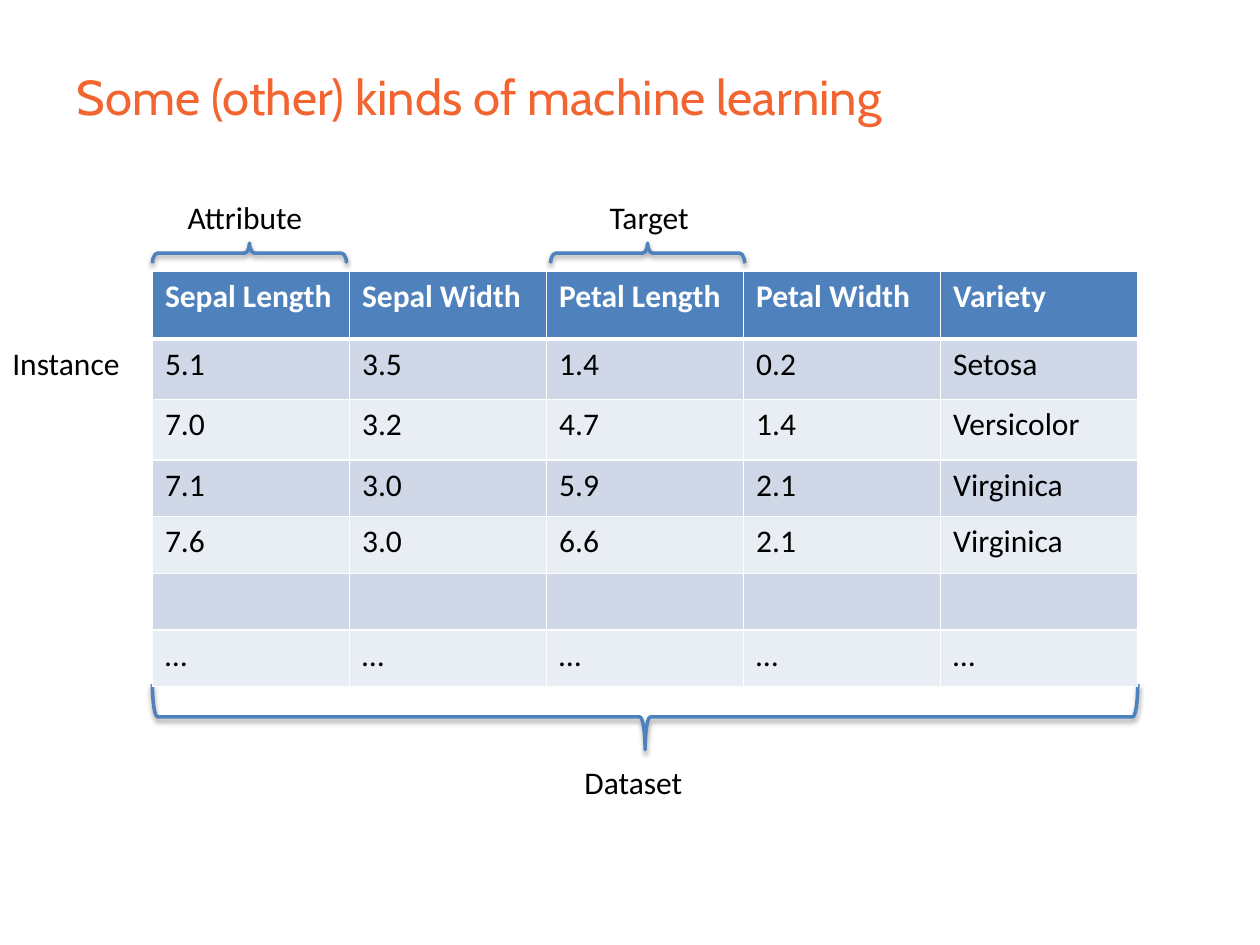
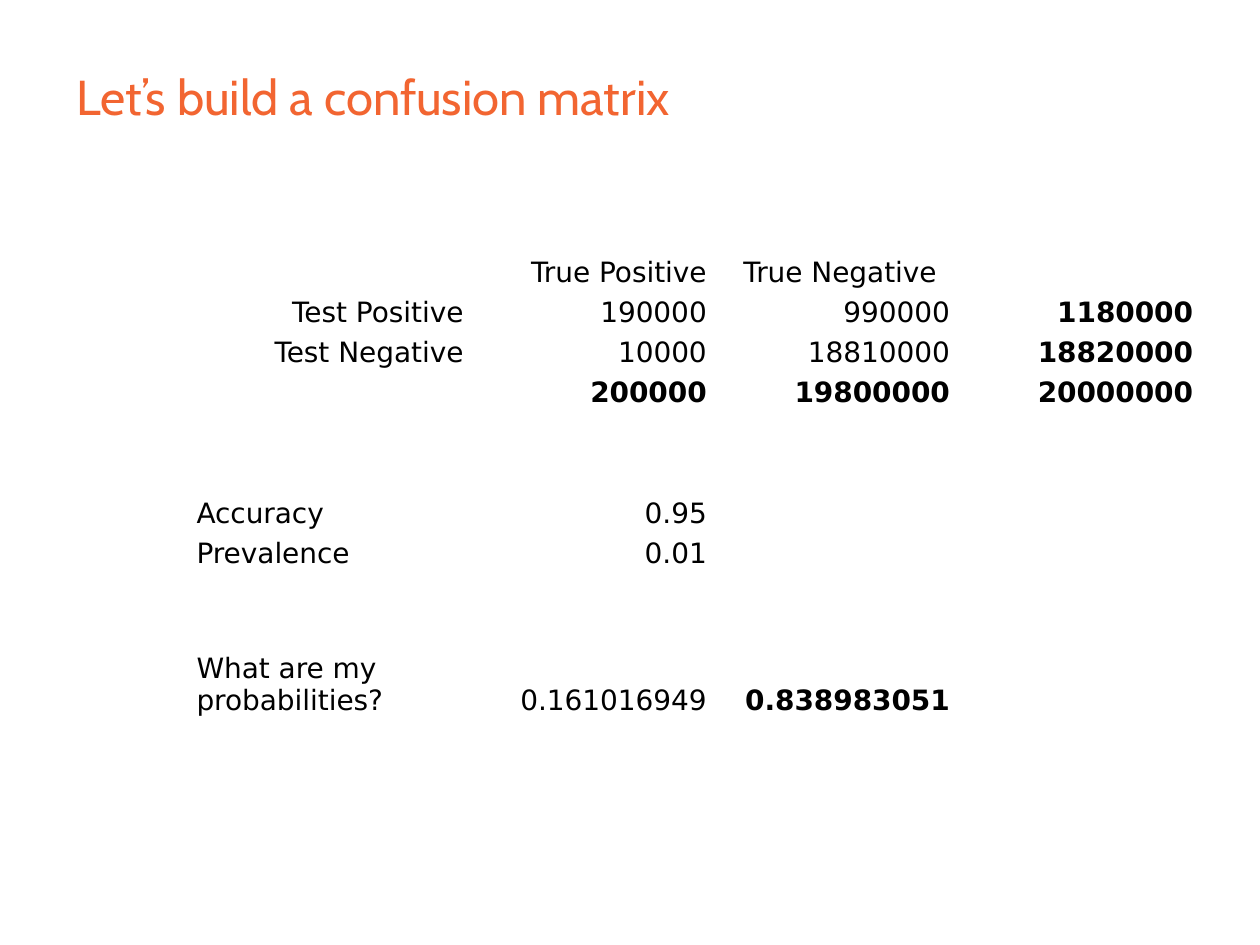
import dataclasses

import lxml.etree
import pptx
import pptx.dml.color
import pptx.enum.shapes
import pptx.enum.text
import pptx.oxml.ns
import pptx.util

Inches = pptx.util.Inches
Pt = pptx.util.Pt
Align = pptx.enum.text.PP_ALIGN
Anchor = pptx.enum.text.MSO_ANCHOR
qn = pptx.oxml.ns.qn


@dataclasses.dataclass(frozen=True)
class Theme:
    title_color: str = "F26531"
    accent: str = "4F81BD"
    dark_band: str = "D0D8E8"
    light_band: str = "E9EDF4"
    ink: str = "000000"
    paper: str = "FFFFFF"
    title_font: str = "Cabin"
    body_font: str = "Calibri"
    matrix_font: str = "DejaVu Sans"
    title_size: int = 28
    body_size: int = 18
    matrix_size: int = 16


THEME = Theme()

IRIS_ROWS = [
    ["Sepal Length", "Sepal Width", "Petal Length", "Petal Width", "Variety"],
    ["5.1", "3.5", "1.4", "0.2", "Setosa"],
    ["7.0", "3.2", "4.7", "1.4", "Versicolor"],
    ["7.1", "3.0", "5.9", "2.1", "Virginica"],
    ["7.6", "3.0", "6.6", "2.1", "Virginica"],
    [""] * 5,
    ["…"] * 5,
]
IRIS_HEIGHTS = [0.54, 0.48, 0.48, 0.45, 0.45, 0.45, 0.45]
IRIS_LEFT, IRIS_TOP, IRIS_WIDTH = 1.21, 2.15, 7.82

BLANK = [""] * 4
MATRIX_ROWS = [
    ["", "True Positive", "True Negative", ""],
    ["Test Positive", "190000", "990000", "1180000"],
    ["Test Negative", "10000", "18810000", "18820000"],
    ["", "200000", "19800000", "20000000"],
    BLANK,
    BLANK,
    ["Accuracy", "0.95", "", ""],
    ["Prevalence", "0.01", "", ""],
    BLANK,
    BLANK,
    ["What are my probabilities?", "0.161016949", "0.838983051", ""],
]
MATRIX_WIDTHS = [2.14, 1.93, 1.93, 1.93]
BOLD_CELLS = {(1, 3), (2, 3), (3, 1), (3, 2), (3, 3), (10, 2)}


def rgb(color):
    return pptx.dml.color.RGBColor.from_string(color)


def write_text(para, text, font=THEME.body_font, size=THEME.body_size,
               color=THEME.ink, bold=False, align=Align.LEFT):
    para.alignment = align
    if not text:
        lxml.etree.SubElement(para._p, qn("a:endParaRPr"), sz=str(size * 100))
        return
    span = para.add_run()
    span.text = text
    span.font.name = font
    span.font.size = Pt(size)
    span.font.bold = bold
    span.font.color.rgb = rgb(color)


def add_page(deck, title):
    page = deck.slides.add_slide(deck.slide_layouts[5])
    box = page.shapes.title
    box.left, box.top = Inches(0.51), Inches(0.14)
    box.width, box.height = Inches(8.98), Inches(1.25)
    box.text_frame.vertical_anchor = Anchor.MIDDLE
    write_text(box.text_frame.paragraphs[0], title, font=THEME.title_font,
               size=THEME.title_size, color=THEME.title_color)
    return page


def add_label(page, text, left, top, width):
    box = page.shapes.add_textbox(Inches(left), Inches(top), Inches(width), Inches(0.4))
    box.text_frame.word_wrap = False
    write_text(box.text_frame.paragraphs[0], text)


def add_shadow(shape):
    effects = lxml.etree.SubElement(shape._element.spPr, qn("a:effectLst"))
    shadow = lxml.etree.SubElement(
        effects, qn("a:outerShdw"), blurRad=str(Pt(3.1)), dist=str(Pt(1.6)),
        dir="5400000", rotWithShape="0")
    color = lxml.etree.SubElement(shadow, qn("a:srgbClr"), val=THEME.ink)
    lxml.etree.SubElement(color, qn("a:alpha"), val="38000")


def add_brace(page, left, top, span, depth, rotation, curve):
    brace = page.shapes.add_shape(
        pptx.enum.shapes.MSO_SHAPE.LEFT_BRACE,
        Inches(left + (span - depth) / 2), Inches(top + (depth - span) / 2),
        Inches(depth), Inches(span))
    brace.rotation = rotation
    brace.adjustments[0] = curve
    brace.fill.background()
    brace.line.color.rgb = rgb(THEME.accent)
    brace.line.width = Pt(2)
    add_shadow(brace)


def add_grid(page, left, top, widths, heights):
    frame = page.shapes.add_table(
        len(heights), len(widths), Inches(left), Inches(top),
        Inches(sum(widths)), Inches(sum(heights)))
    grid = frame.table
    for column, width in zip(grid.columns, widths):
        column.width = Inches(width)
    for row, height in zip(grid.rows, heights):
        row.height = Inches(height)
    return grid


def set_borders(cell, **widths):
    for side in "LRTB":
        line = lxml.etree.SubElement(
            cell._tc.get_or_add_tcPr(), qn(f"a:ln{side}"), w=str(Pt(widths.get(side, 1))))
        fill = lxml.etree.SubElement(line, qn("a:solidFill"))
        lxml.etree.SubElement(fill, qn("a:srgbClr"), val=THEME.paper)


def add_iris_table(page):
    column_count = len(IRIS_ROWS[0])
    grid = add_grid(page, IRIS_LEFT, IRIS_TOP,
                    [IRIS_WIDTH / column_count] * column_count, IRIS_HEIGHTS)
    for r, values in enumerate(IRIS_ROWS):
        header = r == 0
        band = THEME.dark_band if r % 2 else THEME.light_band
        for c, value in enumerate(values):
            cell = grid.cell(r, c)
            set_borders(cell, T=3 if r == 1 else 1, B=3 if header else 1)
            cell.fill.solid()
            cell.fill.fore_color.rgb = rgb(THEME.accent if header else band)
            write_text(cell.text_frame.paragraphs[0], value, bold=header,
                       color=THEME.paper if header else THEME.ink)


def add_confusion_matrix(page):
    grid = add_grid(page, 1.55, 1.97, MATRIX_WIDTHS, [0.32] * len(MATRIX_ROWS))
    grid.first_row = grid.horz_banding = False
    for r, values in enumerate(MATRIX_ROWS):
        for c, value in enumerate(values):
            cell = grid.cell(r, c)
            cell.fill.background()
            cell.vertical_anchor = Anchor.BOTTOM
            cell.margin_left = cell.margin_right = cell.margin_top = Inches(0.01)
            cell.margin_bottom = 0
            left_aligned = (c == 0 and r > 3) or (r, c) == (0, 2)
            write_text(cell.text_frame.paragraphs[0], value, font=THEME.matrix_font,
                       size=THEME.matrix_size, bold=(r, c) in BOLD_CELLS,
                       align=Align.LEFT if left_aligned else Align.RIGHT)
    true_negative = grid.cell(0, 2)
    true_negative.merge(grid.cell(0, 3))
    true_negative.margin_left = Inches(0.28)


def build_dataset_page(deck):
    page = add_page(deck, "Some (other) kinds of machine learning")
    add_label(page, "Dataset", 4.54, 6.01, 0.99)
    add_brace(page, IRIS_LEFT, 5.43, IRIS_WIDTH, 0.52, 270, 0.08)
    for text, label_left, width, brace_left in (
            ("Attribute", 1.39, 1.13, IRIS_LEFT), ("Target", 4.74, 0.84, 4.37)):
        add_label(page, text, label_left, 1.52, width)
        add_brace(page, brace_left, 1.93, 1.54, 0.16, 90, 0.25)
    add_label(page, "Instance", 0, 2.68, 1.06)
    add_iris_table(page)


def build_matrix_page(deck):
    page = add_page(deck, "Let’s build a confusion matrix")
    add_confusion_matrix(page)


def main():
    deck = pptx.Presentation()
    deck.slide_width, deck.slide_height = Inches(10), Inches(7.5)
    build_dataset_page(deck)
    build_matrix_page(deck)
    deck.save("out.pptx")


if __name__ == "__main__":
    main()
